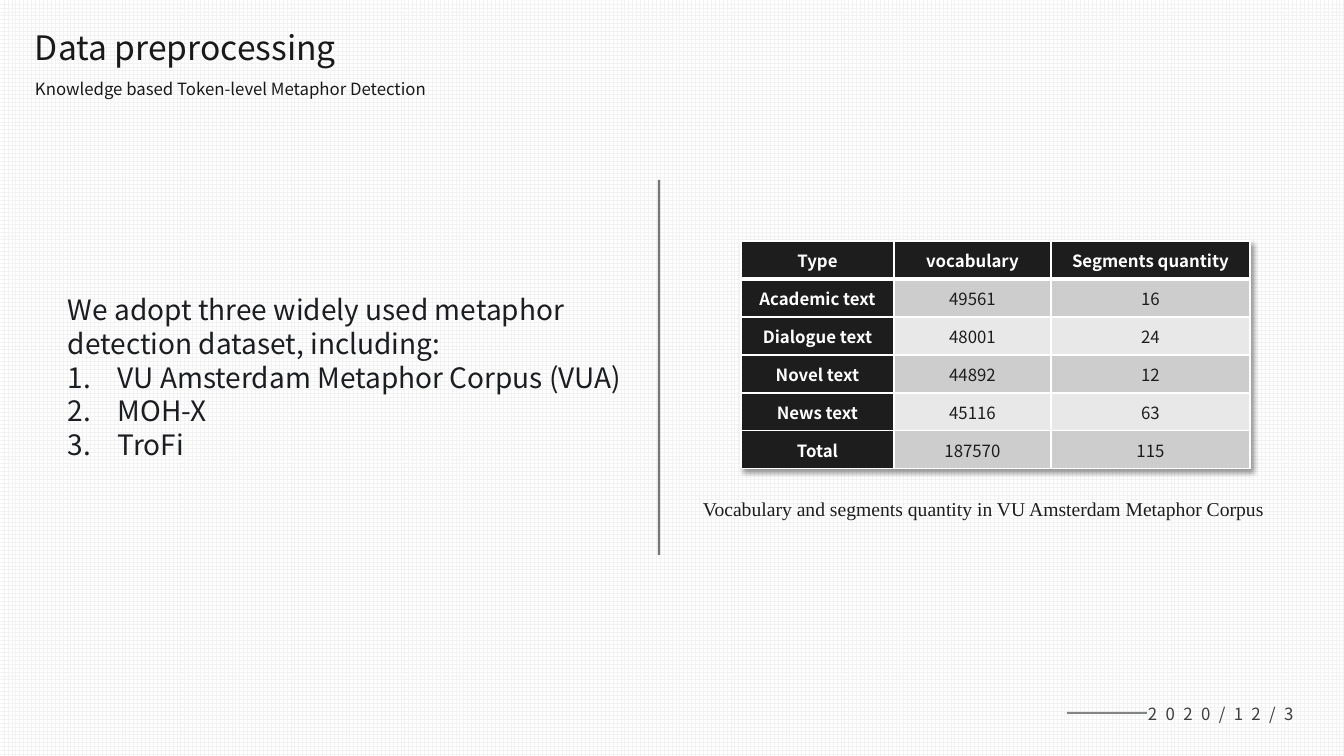
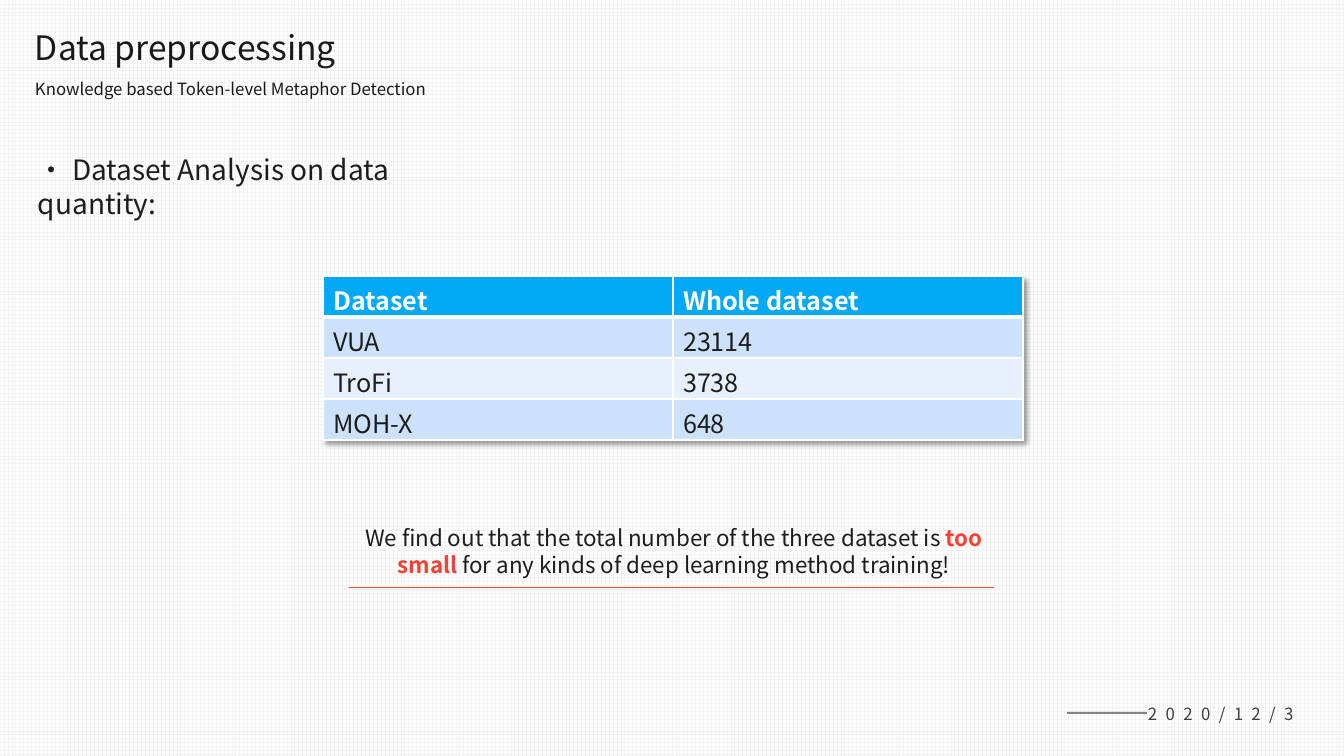
"""Build two slides on data preprocessing for metaphor detection."""
from dataclasses import dataclass
from lxml.etree import SubElement
from pptx import Presentation
from pptx.dml.color import RGBColor
from pptx.enum.dml import MSO_PATTERN
from pptx.enum.shapes import MSO_CONNECTOR, MSO_SHAPE
from pptx.enum.text import MSO_ANCHOR as Anchor, PP_ALIGN as Align
from pptx.oxml import parse_xml
from pptx.oxml.ns import nsdecls, qn
from pptx.util import Pt


@dataclass(frozen=True)
class Theme:
    sans: str = "Noto Sans CJK SC"
    heading: str = "Noto Sans CJK JP"
    serif: str = "Times New Roman"
    title: int = 24
    body: int = 20
    large_cell: int = 18
    note: int = 16
    caption: int = 14
    small: int = 12
    white: str = "FFFFFF"
    grid: str = "F2F2F2"
    rule: str = "838486"
    date: str = "3E3E3E"
    head: str = "191919"
    text: str = "1C1D20"
    dark: str = "1D1D1D"
    red: str = "F44336"
    blue: str = "03A9F4"
    grays: tuple = ("CDCDCD", "E8E8E8")
    blues: tuple = ("CCE2FB", "E7F1FD")


def px(length):
    return round(length * 914400 / 100.8)


def write(para, spans, font, size, color, bold=False, spacing=0):
    for text, changes in spans:
        look = {"name": font, "size": Pt(size), "bold": bold, "color": color} | changes
        span = para.add_run()
        span.text = text
        span.font.color.rgb = RGBColor.from_string(look.pop("color"))
        for name, value in look.items():
            setattr(span.font, name, value)
        props = span.font._element if hasattr(span.font, "_element") else span._r.get_or_add_rPr()
        SubElement(props, qn("a:ea")).set("typeface", font)
        if spacing:
            props.set("spc", str(spacing * 100))


theme = Theme()
plain = {"word_wrap": True}
flush = plain | {"margin_left": 0, "margin_top": 0, "margin_bottom": 0}
heading_para = {"line_spacing": 1.14}
centered = {"alignment": Align.CENTER}
heading_look = (theme.heading, theme.title, theme.head)
subtitle_look = (theme.heading, theme.small, theme.head)
date_look = (theme.heading, theme.small, theme.date, False, 6)
body_look = (theme.sans, theme.body, theme.text)
note_look = (theme.sans, theme.note, theme.text)
caption_look = (theme.serif, theme.caption, theme.dark)

shared_boxes = [
    ((35, 21, 402, 43), flush, heading_para, heading_look, [[("Data preprocessing", {})]]),
    ((35, 76, 451, 21), flush, heading_para, subtitle_look,
     [[("Knowledge based Token-level Metaphor Detection", {})]]),
    ((1148, 695, 171, 37), flush | {"vertical_anchor": Anchor.MIDDLE}, {}, date_look,
     [[("2020/12/3", {})]]),
]
compact_cell = {"margin_left": px(7), "margin_right": px(7), "margin_top": 0,
                "margin_bottom": 0, "vertical_anchor": Anchor.MIDDLE}
slides = [
    {
        "boxes": [
            ((58, 288, 614, 179), plain, {}, body_look,
             [[("We adopt three widely used metaphor detection dataset, including:", {})],
              [("VU Amsterdam Metaphor Corpus (VUA)", {})],
              [("MOH-X", {})],
              [("TroFi", {})]]),
            ((693, 492, 614, 34), plain, {}, caption_look,
             [[("Vocabulary and segments quantity in VU Amsterdam Metaphor Corpus", {})]]),
        ],
        "line": ((659, 180, 659, 555), theme.dark, 1.5, 60),
        "table": {
            "at": (741, 241), "columns": (153, 157, 199), "row": 38, "size": theme.small,
            "header": theme.dark, "bands": theme.grays, "first_col": True,
            "cell": compact_cell, "para": centered,
            "rows": [("Type", "vocabulary", "Segments quantity"),
                     ("Academic text", "49561", "16"),
                     ("Dialogue text", "48001", "24"),
                     ("Novel text", "44892", "12"),
                     ("News text", "45116", "63"),
                     ("Total", "187570", "115")],
        },
    },
    {
        "boxes": [
            ((28, 148, 471, 78), plain, {}, body_look,
             [[("· Dataset Analysis on data quantity:", {})]]),
            ((341, 519, 666, 65), plain, centered, note_look,
             [[("We find out that the total number of the three dataset is ", {}),
               ("too small ", {"color": theme.red, "bold": True}),
               ("for any kinds of deep learning method training!", {})]]),
        ],
        "line": ((349, 587, 994, 587), theme.red, 0.5, 100),
        "table": {
            "at": (323, 276), "columns": (350, 350), "row": 41, "size": theme.large_cell,
            "header": theme.blue, "bands": theme.blues, "first_col": False,
            "cell": {}, "para": {},
            "rows": [("Dataset", "Whole dataset"),
                     ("VUA", "23114"),
                     ("TroFi", "3738"),
                     ("MOH-X", "648")],
        },
    },
]

deck = Presentation()
deck.slide_width, deck.slide_height = px(1344), px(756)
backdrop = deck.slide_master.background.fill
backdrop.patterned()
backdrop.pattern = MSO_PATTERN.LARGE_GRID
backdrop.fore_color.rgb = RGBColor.from_string(theme.grid)
backdrop.back_color.rgb = RGBColor.from_string(theme.white)

for content in slides:
    page = deck.slides.add_slide(deck.slide_layouts[6])

    date_rule = page.shapes.add_shape(MSO_SHAPE.RECTANGLE, *map(px, (1067, 712, 80, 2)))
    date_rule.shadow.inherit = False
    date_rule.fill.solid()
    date_rule.fill.fore_color.rgb = RGBColor.from_string(theme.rule)
    date_rule.line.fill.background()

    for place, frame_format, para_format, look, paragraphs in shared_boxes + content["boxes"]:
        box = page.shapes.add_textbox(*map(px, place))
        frame = box.text_frame
        for name, value in frame_format.items():
            setattr(frame, name, value)
        for index, spans in enumerate(paragraphs):
            para = frame.add_paragraph() if index else frame.paragraphs[0]
            for name, value in para_format.items():
                setattr(para, name, value)
            if index:
                props = para._p.get_or_add_pPr()
                props.set("marL", str(px(50)))
                props.set("indent", str(-px(50)))
                SubElement(props, qn("a:buAutoNum")).set("type", "arabicPeriod")
            write(para, spans, *look)

    ends, color, width, opacity = content["line"]
    line = page.shapes.add_connector(MSO_CONNECTOR.STRAIGHT, *map(px, ends))
    line.line.color.rgb = RGBColor.from_string(color)
    line.line.width = Pt(width)
    if opacity < 100:
        tint = line._element.spPr.find(".//" + qn("a:srgbClr"))
        SubElement(tint, qn("a:alpha")).set("val", str(opacity * 1000))
    SubElement(line._element.spPr, qn("a:effectLst"))

    spec_table = content["table"]
    rows, columns = spec_table["rows"], spec_table["columns"]
    size = (sum(columns), spec_table["row"] * len(rows))
    table = page.shapes.add_table(
        len(rows), len(columns), *map(px, spec_table["at"] + size)).table
    table.first_col = spec_table["first_col"]
    table._tbl.tblPr.insert(0, parse_xml(
        f'<a:effectLst {nsdecls("a")}><a:outerShdw blurRad="50800" dist="38100" dir="2700000" '
        'algn="tl" rotWithShape="0"><a:srgbClr val="000000"><a:alpha val="40000"/></a:srgbClr>'
        '</a:outerShdw></a:effectLst>'))
    for column, width in zip(table.columns, columns):
        column.width = px(width)
    for r, values in enumerate(rows):
        table.rows[r].height = px(spec_table["row"])
        for c, value in enumerate(values):
            cell = table.cell(r, c)
            for name, setting in spec_table["cell"].items():
                setattr(cell, name, setting)
            thick = {0: "lnB", 1: "lnT"}.get(r)
            for side in ("lnL", "lnR", "lnT", "lnB"):
                border = SubElement(cell._tc.get_or_add_tcPr(), qn("a:" + side))
                border.set("w", str(Pt(3 if side == thick else 1)))
                paint = SubElement(border, qn("a:solidFill"))
                SubElement(paint, qn("a:srgbClr")).set("val", theme.white)
            is_header = r == 0 or (c == 0 and spec_table["first_col"])
            fill = spec_table["header"] if is_header else spec_table["bands"][(r - 1) % 2]
            cell.fill.solid()
            cell.fill.fore_color.rgb = RGBColor.from_string(fill)
            para = cell.text_frame.paragraphs[0]
            for name, setting in spec_table["para"].items():
                setattr(para, name, setting)
            write(para, [(value, {})], theme.sans, spec_table["size"],
                  theme.white if is_header else theme.dark, is_header)

deck.save("out.pptx")
